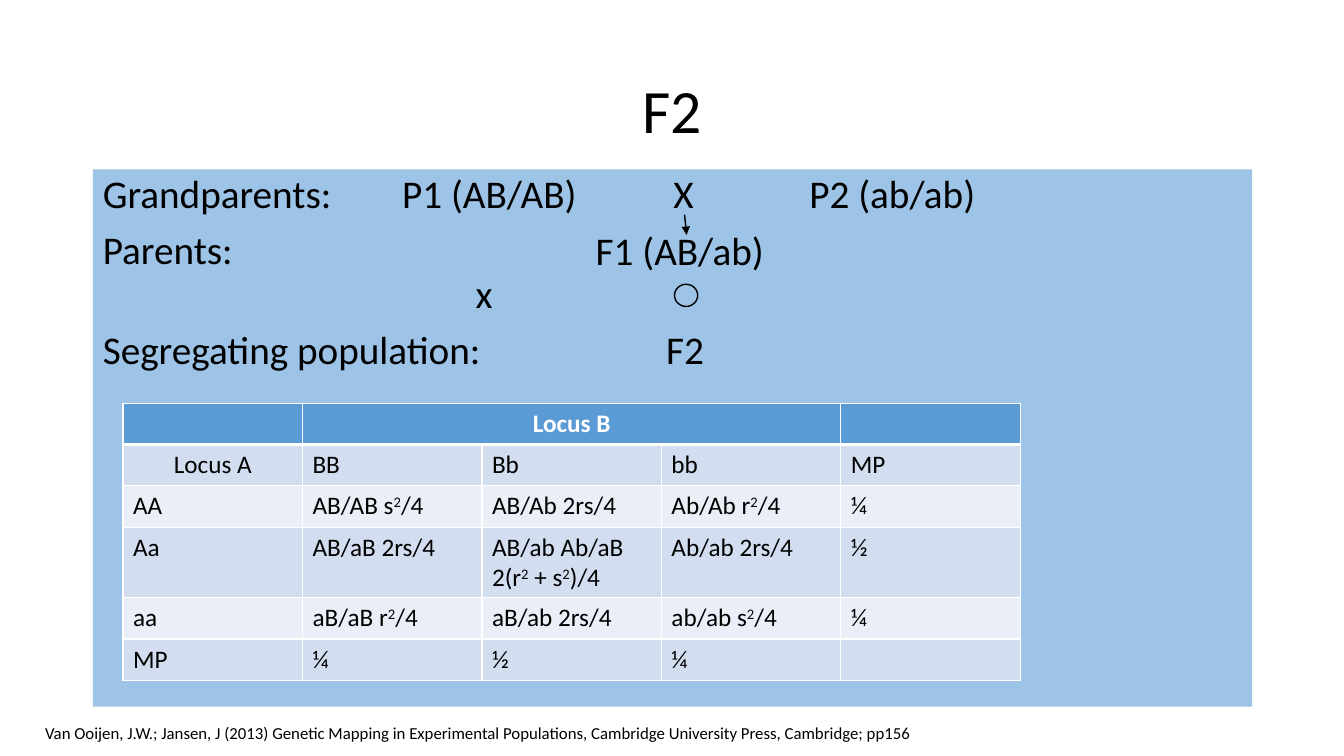
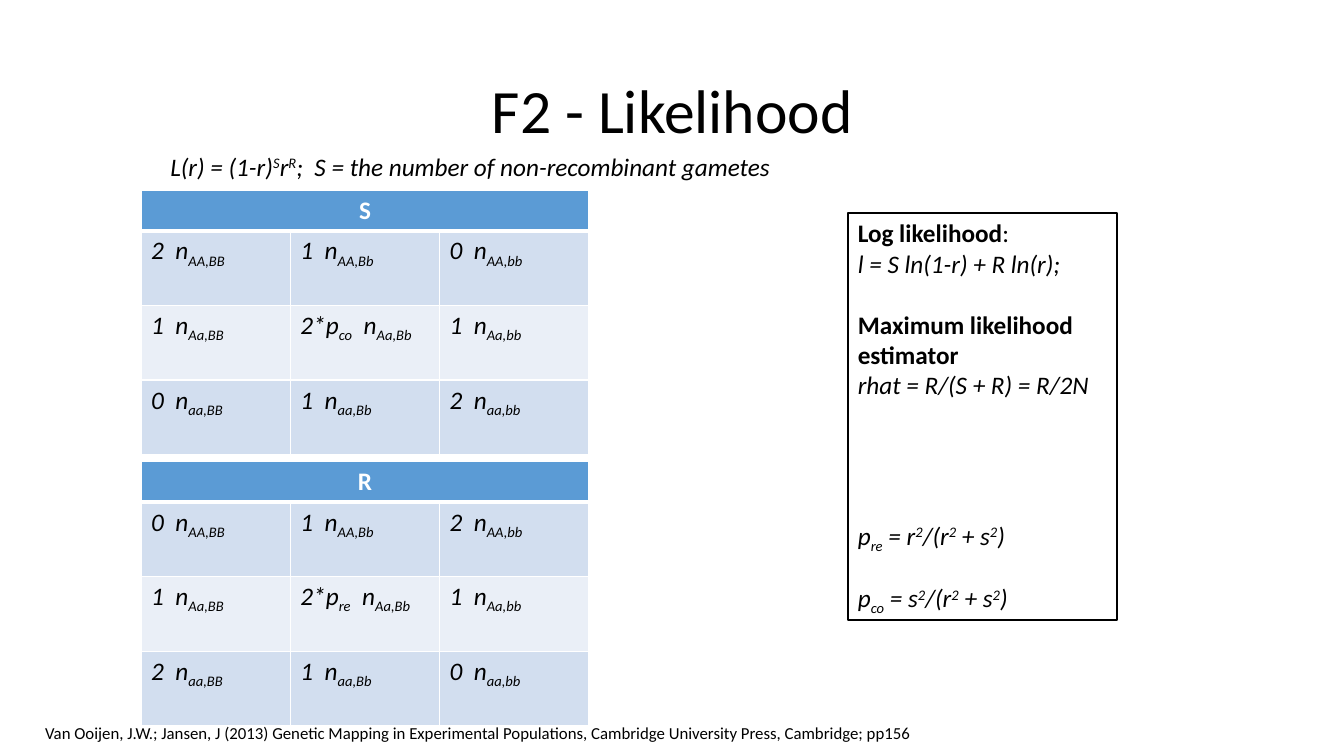
import dataclasses
import typing

import lxml.etree
import pptx
import pptx.dml.color
import pptx.enum.shapes
import pptx.enum.text
import pptx.oxml.ns
import pptx.util

Inches = pptx.util.Inches
Pt = pptx.util.Pt
qn = pptx.oxml.ns.qn
CENTER = pptx.enum.text.PP_ALIGN.CENTER

COLORS = {
    "text": "000000",
    "white": "FFFFFF",
    "panel": "9DC3E6",
    "header": "5B9BD5",
    "odd_row": "D2DEEF",
    "even_row": "EAEFF7",
}
FONT = "Calibri"
BASELINES = {"^": "30000", "_": "-25000"}
CITATION = (
    "Van Ooijen, J.W.; Jansen, J (2013) Genetic Mapping in Experimental Populations, "
    "Cambridge University Press, Cambridge; pp156"
)


@dataclasses.dataclass(frozen=True)
class Line:
    text: str
    size: float = 18
    bold: bool = False
    italic: bool = False
    color: str = "text"
    before: float = 0
    centered: bool = False
    spacing: float = 1.0


@dataclasses.dataclass(frozen=True)
class Box:
    left: float
    top: float
    width: float
    height: float


@dataclasses.dataclass(frozen=True)
class Genotype:
    text: str
    left: float
    top: float
    width: float


@dataclasses.dataclass(frozen=True)
class Grid:
    left: float
    top: float
    column_width: float
    row_heights: tuple[float, ...]
    heading: str
    heading_columns: tuple[int, int]
    rows: list[list[str]]
    italic: bool = False
    centered_cells: frozenset[tuple[int, int]] = frozenset()


GENOTYPES = (
    Genotype("P1 (AB/AB)", 3.89, 1.68, 2.1),
    Genotype("X", 6.58, 1.68, 0.5),
    Genotype("P2 (ab/ab)", 7.93, 1.68, 2.1),
    Genotype("F1 (AB/ab)", 5.81, 2.25, 2.1),
    Genotype("x", 4.62, 2.68, 0.5),
    Genotype("F2", 6.51, 3.23, 0.8),
)


def rgb(name: str) -> pptx.dml.color.RGBColor:
    return pptx.dml.color.RGBColor.from_string(COLORS[name])


def fill_solid(target: typing.Any, color: str) -> None:
    target.fill.solid()
    target.fill.fore_color.rgb = rgb(color)


def place(shape: typing.Any, box: Box) -> None:
    shape.left, shape.top = Inches(box.left), Inches(box.top)
    shape.width, shape.height = Inches(box.width), Inches(box.height)


def remove_bullet(paragraph: typing.Any) -> None:
    properties = paragraph._p.get_or_add_pPr()
    properties.set("marL", "0")
    properties.set("indent", "0")
    lxml.etree.SubElement(properties, qn("a:buNone"))


def write_line(paragraph: typing.Any, line: Line) -> None:
    if line.centered:
        paragraph.alignment = CENTER
    paragraph.line_spacing = line.spacing
    paragraph.space_before = Pt(line.before)
    font = paragraph.font
    font.name, font.size = FONT, Pt(line.size)
    font.bold, font.italic = line.bold, line.italic
    font.color.rgb = rgb(line.color)
    for chunk in filter(None, line.text.replace("}", "{").split("{")):
        run = paragraph.add_run()
        mark = chunk[0]
        if mark in BASELINES:
            run.text = chunk[1:]
            run._r.get_or_add_rPr().set("baseline", BASELINES[mark])
        elif mark == "!":
            run.text = chunk[1:]
            run.font.bold = False
        else:
            run.text = chunk


def write_lines(frame: typing.Any, lines: list[Line], plain: bool = False) -> None:
    for index, line in enumerate(lines):
        paragraph = frame.add_paragraph() if index else frame.paragraphs[0]
        if plain:
            remove_bullet(paragraph)
        write_line(paragraph, line)


def add_text(slide: typing.Any, box: Box, lines: list[Line], wrap: bool = False) -> typing.Any:
    textbox = slide.shapes.add_textbox(0, 0, 0, 0)
    place(textbox, box)
    textbox.text_frame.word_wrap = wrap
    write_lines(textbox.text_frame, lines)
    return textbox


def underline_header(cell: typing.Any) -> None:
    border = lxml.etree.Element(qn("a:lnB"), w=str(int(Pt(3))))
    fill = lxml.etree.SubElement(border, qn("a:solidFill"))
    lxml.etree.SubElement(fill, qn("a:srgbClr"), val=COLORS["white"])
    cell._tc.get_or_add_tcPr().insert(0, border)


def add_grid(slide: typing.Any, grid: Grid) -> None:
    columns = len(grid.rows[0])
    table = slide.shapes.add_table(
        len(grid.row_heights), columns, Inches(grid.left), Inches(grid.top),
        Inches(grid.column_width * columns), Inches(sum(grid.row_heights)),
    ).table
    for row, height in zip(table.rows, grid.row_heights):
        row.height = Inches(height)
    for column in range(columns):
        fill_solid(table.cell(0, column), "header")
        underline_header(table.cell(0, column))
    first, last = grid.heading_columns
    table.cell(0, first).merge(table.cell(0, last))
    heading = Line(grid.heading, bold=True, color="white", centered=True)
    write_line(table.cell(0, first).text_frame.paragraphs[0], heading)
    for row_index, texts in enumerate(grid.rows, start=1):
        for column, text in enumerate(texts):
            cell = table.cell(row_index, column)
            fill_solid(cell, "odd_row" if row_index % 2 else "even_row")
            centered = (row_index, column) in grid.centered_cells
            line = Line(text, italic=grid.italic, centered=centered)
            write_line(cell.text_frame.paragraphs[0], line)


def add_slide(deck: typing.Any, layout: int, heading: str) -> typing.Any:
    slide = deck.slides.add_slide(deck.slide_layouts[layout])
    title = slide.shapes.title
    place(title, Box(0.92, 0.4, 11.5, 1.45))
    title.text_frame.vertical_anchor = pptx.enum.text.MSO_ANCHOR.MIDDLE
    write_lines(title.text_frame, [Line(heading, size=44, centered=True, spacing=0.9)])
    return slide


def add_citation(slide: typing.Any) -> None:
    add_text(slide, Box(0.35, 7.12, 8.84, 0.3), [Line(CITATION, size=12)])


def add_cross_symbols(slide: typing.Any) -> None:
    arrow = slide.shapes.add_connector(
        pptx.enum.shapes.MSO_CONNECTOR.STRAIGHT,
        Inches(6.79), Inches(2.13), Inches(6.81), Inches(2.33),
    )
    selfing = slide.shapes.add_shape(pptx.enum.shapes.MSO_SHAPE.OVAL, 0, 0, 0, 0)
    place(selfing, Box(6.69, 2.82, 0.23, 0.22))
    selfing.fill.background()
    selfing.shadow.inherit = False
    for symbol in (arrow, selfing):
        symbol.line.color.rgb = rgb("text")
        symbol.line.width = Pt(1)
    lxml.etree.SubElement(arrow.line._get_or_add_ln(), qn("a:tailEnd"), type="triangle")
    lxml.etree.SubElement(arrow._element.spPr, qn("a:effectLst"))


def build_cross(deck: typing.Any) -> None:
    slide = add_slide(deck, 1, "F2")
    generations = slide.placeholders[1]
    place(generations, Box(0.92, 1.68, 11.5, 5.33))
    fill_solid(generations, "panel")
    generations.text_frame.auto_size = pptx.enum.text.MSO_AUTO_SIZE.NONE
    labels = (("Grandparents:", 0), ("Parents:", 10), ("Segregating population:", 41))
    write_lines(generations.text_frame, [
        Line(text, size=28, before=before, spacing=0.9) for text, before in labels
    ], plain=True)
    for genotype in GENOTYPES:
        box = Box(genotype.left, genotype.top, genotype.width, 0.53)
        add_text(slide, box, [Line(genotype.text, size=28, spacing=0.9)], wrap=True)
    add_cross_symbols(slide)
    add_grid(slide, Grid(
        1.22, 4, 1.78, (0.41,) * 6, "Locus B", (1, 3),
        [
            ["Locus A", "BB", "Bb", "bb", "MP"],
            ["AA", "AB/AB s{^2}/4", "AB/Ab 2rs/4", "Ab/Ab r{^2}/4", "¼"],
            ["Aa", "AB/aB 2rs/4", "AB/ab Ab/aB 2(r{^2} + s{^2})/4", "Ab/ab 2rs/4", "½"],
            ["aa", "aB/aB r{^2}/4", "aB/ab 2rs/4", "ab/ab s{^2}/4", "¼"],
            ["MP", "¼", "½", "¼", ""],
        ],
        centered_cells=frozenset({(1, 0)}),
    ))
    add_citation(slide)


def gamete_rows(recombinant: bool) -> list[list[str]]:
    probability = "re" if recombinant else "co"
    rows = []
    for row, locus_a in enumerate(("AA", "Aa", "aa")):
        cells = []
        for column, locus_b in enumerate(("BB", "Bb", "bb")):
            distance = abs(row - column)
            count = str(distance if recombinant else 2 - distance)
            if row == column == 1:
                count = f"2*p{{_{probability}}}"
            cells.append(f"{count}  n{{_{locus_a},{locus_b}}}")
        rows.append(cells)
    return rows


def build_likelihood(deck: typing.Any) -> None:
    slide = add_slide(deck, 5, "F2 - Likelihood")
    likelihood = "L(r) = (1-r){^S}r{^R};  S = the number of non-recombinant gametes"
    add_text(slide, Box(1.59, 1.45, 6.18, 0.4), [Line(likelihood, italic=True)])
    for heading, top, recombinant in (("S", 1.89, False), ("R", 4.58, True)):
        add_grid(slide, Grid(
            1.4, top, 1.48, (0.4, 0.74, 0.74, 0.74), heading, (0, 2),
            gamete_rows(recombinant), italic=True,
        ))
    estimator = add_text(slide, Box(8.41, 2.11, 2.67, 4.04), [
        Line("Log likelihood{!:}", bold=True),
        Line("l = S ln(1-r) + R ln(r);", italic=True),
        Line("Maximum likelihood estimator", bold=True, before=22),
        Line("rhat = R/(S + R) = R/2N", italic=True),
        Line("p{_re} = r{^2}/(r{^2} + s{^2})", italic=True, before=86),
        Line("p{_co} = s{^2}/(r{^2} + s{^2})", italic=True, before=20),
    ], wrap=True)
    estimator.line.color.rgb = rgb("text")
    estimator.line.width = Pt(1.5)
    add_citation(slide)


def main() -> None:
    deck = pptx.Presentation()
    deck.slide_width, deck.slide_height = Inches(13.33), Inches(7.5)
    build_cross(deck)
    build_likelihood(deck)
    deck.save("out.pptx")


if __name__ == "__main__":
    main()
